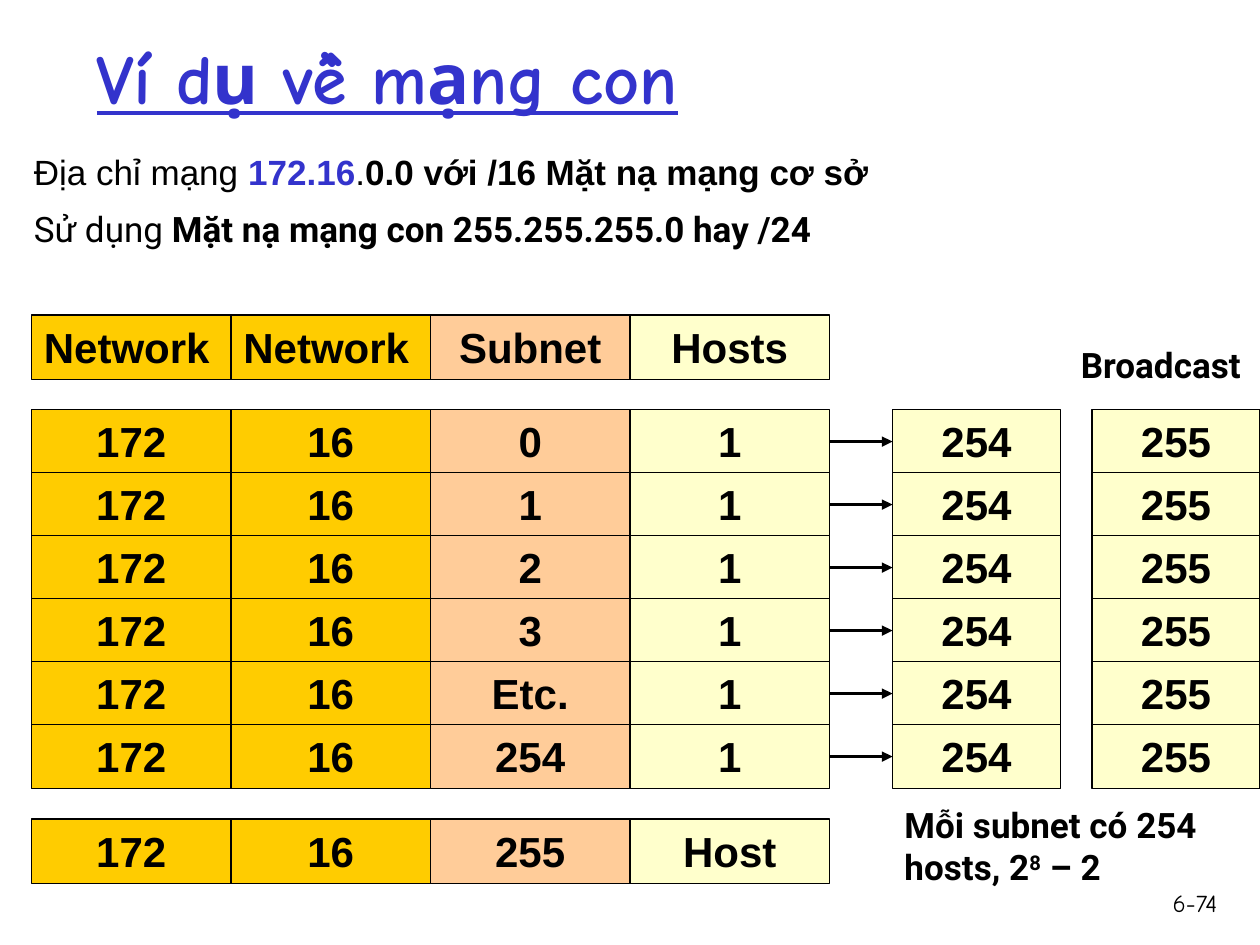
from typing import NamedTuple

from pptx import Presentation
from pptx.dml.color import RGBColor
from pptx.enum.shapes import MSO_CONNECTOR as Link, MSO_SHAPE as Form
from pptx.enum.text import MSO_ANCHOR as Anchor, PP_ALIGN as Align
from pptx.oxml.ns import qn
from pptx.util import Inches, Pt
from lxml.etree import SubElement

BLACK, BLUE = "000000", "3333CC"
GOLD, PEACH, CREAM = "FFCC00", "FFCC99", "FFFFCC"

deck = Presentation()
deck.slide_width, deck.slide_height = Inches(10), Inches(7.5)
slide = deck.slides.add_slide(deck.slide_layouts[6])
COL = deck.slide_width / 120
ROW = deck.slide_height / 15


class Run(NamedTuple):
    text: str
    bold: bool = True
    color: str = BLACK
    base: int = 0


class Note(NamedTuple):
    box: tuple
    runs: tuple
    font: str = "Roboto"
    size: int = 20
    align: Align = Align.LEFT
    anchor: Anchor = Anchor.TOP
    line: bool = False
    space: float = 1.0


class Band(NamedTuple):
    col: int
    wide: int
    fill: str


def paint(code: str) -> RGBColor:
    return RGBColor.from_string(code)


def write(note: Note) -> None:
    box = slide.shapes.add_textbox(*(Inches(n) for n in note.box))
    frame = box.text_frame
    frame.word_wrap = True
    frame.vertical_anchor = note.anchor
    para = frame.paragraphs[0]
    para.alignment = note.align
    para.line_spacing = note.space
    para.font.name, para.font.size = note.font, Pt(note.size)
    para.font.underline = note.line
    for part in note.runs:
        run = para.add_run()
        run.text = part.text
        run.font.bold = part.bold
        run.font.color.rgb = paint(part.color)
        if part.base:
            run.font._element.set("baseline", str(part.base * 1000))


def cell(band: Band, row: float, text: str, align: Align = Align.CENTER):
    box = slide.shapes.add_shape(
        Form.RECTANGLE, round(band.col * COL), round(row * ROW),
        round(band.wide * COL), round(1.02 * ROW))
    box.shadow.inherit = False
    box.fill.solid()
    box.fill.fore_color.rgb = paint(band.fill)
    box.line.color.rgb = paint(BLACK)
    box.line.width = Pt(0.75)
    frame = box.text_frame
    frame.word_wrap = True
    frame.vertical_anchor = Anchor.TOP
    para = frame.paragraphs[0]
    para.text = text
    para.alignment = align
    font = para.font
    font.name, font.size, font.bold = "Arial", Pt(24), True
    font.color.rgb = paint(BLACK)
    return box


def arrow(start, end) -> None:
    link = slide.shapes.add_connector(Link.STRAIGHT, 0, 0, 0, 0)
    link.begin_connect(start, 3)
    link.end_connect(end, 1)
    link.line.color.rgb = paint(BLACK)
    link.line.width = Pt(2)
    SubElement(link.line._get_or_add_ln(), qn("a:tailEnd"), type="triangle")
    SubElement(link._element.spPr, qn("a:effectLst"))


BANDS = [Band(3 + 19 * n, 19, fill)
         for n, fill in enumerate((GOLD, GOLD, PEACH, CREAM))]
LAST, CAST = Band(85, 16, CREAM), Band(104, 16, CREAM)
HEADS = ("Network", "Network", "Subnet", "Hosts")
NETS = ("0", "1", "2", "3", "Etc.", "254")

NOTES = [
    Note((0.67, 0.12, 7.06, 0.97),
         (Run("Ví dụ về mạng con", color=BLUE),),
         "Comic Neue", 40, anchor=Anchor.MIDDLE, line=True),
    Note((0.17, 1.18, 9.17, 0.58),
         (Run("Địa chỉ mạng ", False), Run("172.16", color=BLUE),
          Run(".", False), Run("0.0 với /16 Mặt nạ mạng cơ sở")),
         "Arial", space=0.9),
    Note((0.17, 1.6, 9.25, 0.43),
         (Run("Sử dụng ", False),
          Run("Mặt nạ mạng con 255.255.255.0 hay /24"))),
    Note((8.48, 2.68, 1.52, 0.44), (Run("Broadcast"),)),
    Note((7.08, 6.33, 2.68, 0.77),
         (Run("Mỗi subnet có 254 hosts, 2"), Run("8", base=30),
          Run(" – 2"))),
    Note((9.08, 7, 0.68, 0.5), (Run("6-74", False),),
         "Comic Neue", 14, Align.RIGHT),
]

for note in NOTES:
    write(note)

for band, head in zip(BANDS, HEADS):
    cell(band, 5, head, Align.LEFT if head == "Network" else Align.CENTER)

for row, net in enumerate(NETS, 6):
    y = row + 0.5
    cells = [cell(band, y, text)
             for band, text in zip(BANDS, ("172", "16", net, "1"))]
    arrow(cells[-1], cell(LAST, y, "254"))
    cell(CAST, y, "255")

for band, text in zip(BANDS, ("172", "16", "255", "Host")):
    cell(band, 13, text)

deck.save("out.pptx")
